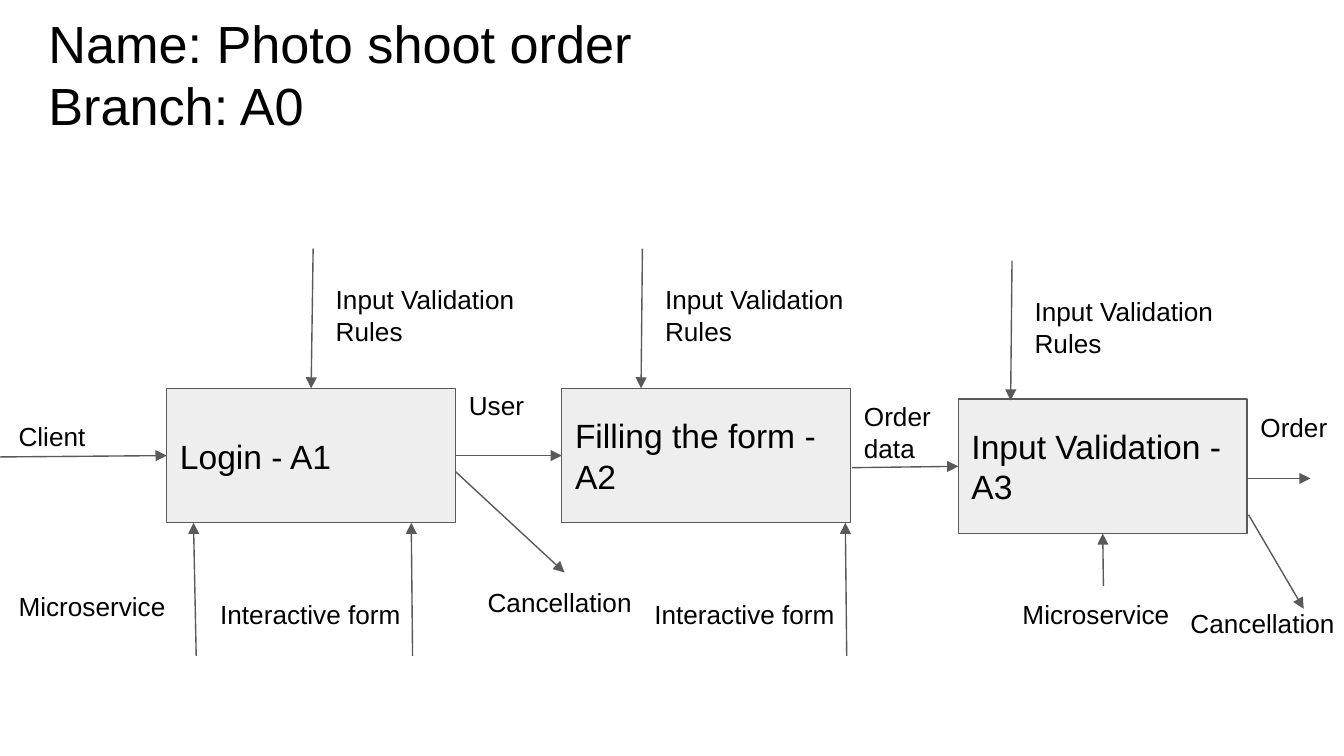
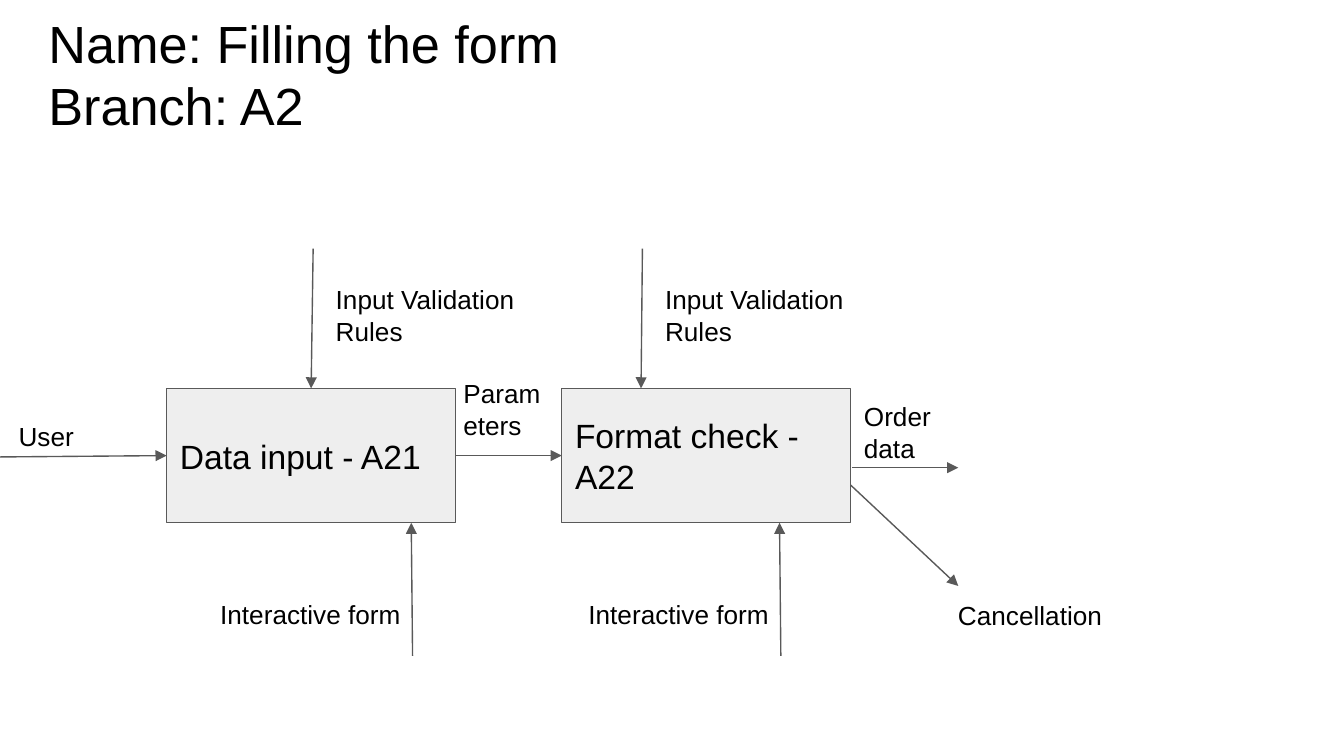
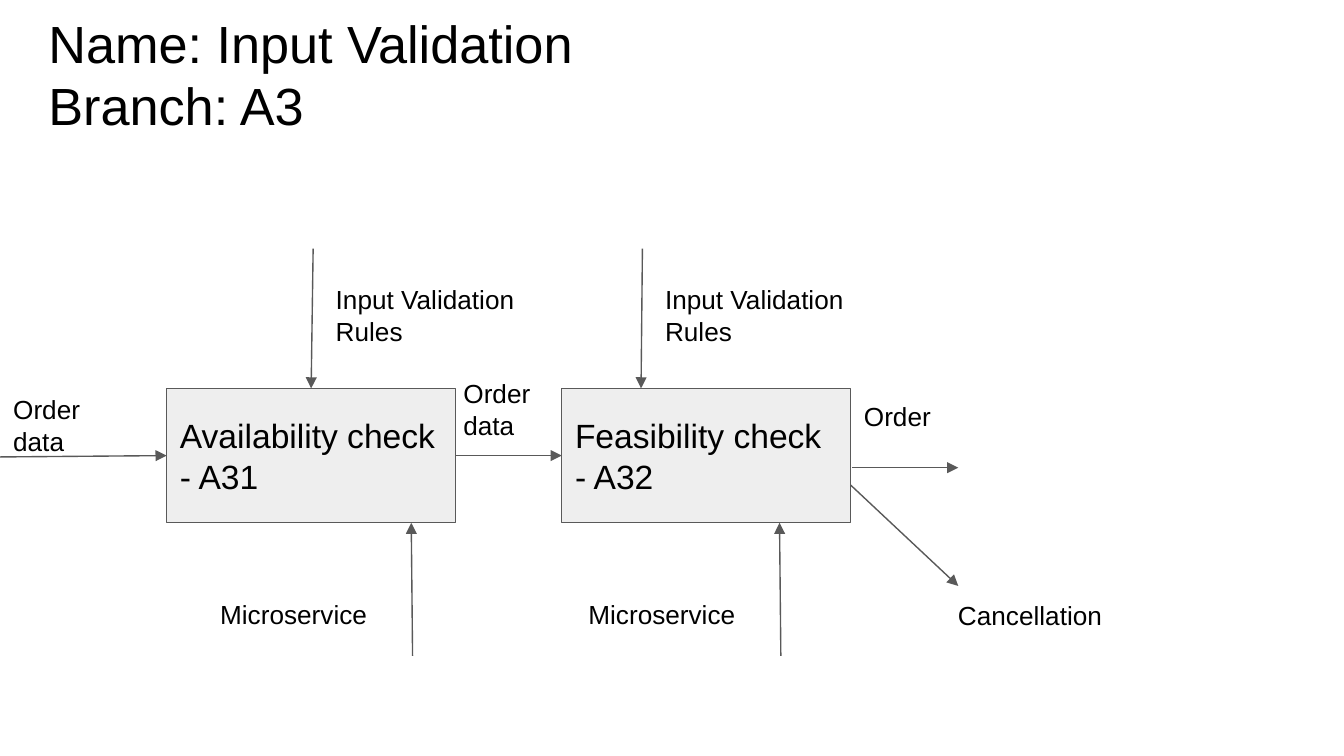
from dataclasses import dataclass
from typing import Optional

from lxml import etree
from pptx import Presentation
from pptx import util as u
from pptx.dml.color import RGBColor
from pptx.enum import shapes, text
from pptx.oxml.ns import qn

# Shared look
HUES = {"ink": "000000", "fill": "EEEEEE", "line": "595959"}
FONT = "Arial"
BOX_W, BOX_H = 2.15, 1.0
ROW = 2.89  # top of the first two boxes
FRAME = {
    "word_wrap": True,
    "auto_size": text.MSO_AUTO_SIZE.NONE,
    "margin_left": u.Inches(0.1),
    "margin_right": u.Inches(0.1),
    "margin_top": u.Inches(0.1),
    "margin_bottom": u.Inches(0.1),
}


@dataclass
class Box:
    name: str
    left: float
    top: float = ROW


@dataclass
class Note:
    words: str
    left: float
    top: float
    width: float = 0.87
    height: float = 0.18


@dataclass
class Arrow:
    x1: float
    y1: float
    x2: float
    y2: float


@dataclass
class Rule:
    """Control that enters a box from above."""
    tip: float
    top: float = ROW


@dataclass
class Means:
    """Mechanism that enters a box from below."""
    words: str
    tip: float


@dataclass
class Flow:
    title: str
    names: tuple[str, str]
    entry: Note
    link: Note
    out: str
    means: list[Means]
    extra: list


def hue(key: str) -> RGBColor:
    return RGBColor.from_string(HUES[key])


def write(frame, words: str, size: int, anchor=text.MSO_ANCHOR.TOP) -> None:
    for key, value in FRAME.items():
        setattr(frame, key, value)
    frame.vertical_anchor = anchor
    frame.text = words
    look = {"size": u.Pt(size), "name": FONT, "bold": False}
    for para in frame.paragraphs:
        para.alignment = text.PP_ALIGN.LEFT
        for run in para.runs:
            for key, value in look.items():
                setattr(run.font, key, value)
            run.font.color.rgb = hue("ink")


def add_box(slide, box: Box):
    spot = map(u.Inches, (box.left, box.top, BOX_W, BOX_H))
    shape = slide.shapes.add_shape(shapes.MSO_SHAPE.RECTANGLE, *spot)
    shape.shadow.inherit = False
    shape.fill.solid()
    shape.fill.fore_color.rgb = hue("fill")
    shape.line.color.rgb = hue("line")
    shape.line.width = u.Pt(0.75)
    write(shape.text_frame, box.name, 18, text.MSO_ANCHOR.MIDDLE)
    return shape


def add_note(slide, note: Note) -> None:
    spot = map(u.Inches, (note.left, note.top, note.width, note.height))
    write(slide.shapes.add_textbox(*spot).text_frame, note.words, 14)


def find_site(boxes: list, x: float, y: float) -> Optional[tuple]:
    """Return the box and side whose middle lies at the point."""
    for box, shape in boxes:
        mid_x, mid_y = box.left + BOX_W / 2, box.top + BOX_H / 2
        sides = ((mid_x, box.top), (box.left, mid_y),
                 (mid_x, box.top + BOX_H), (box.left + BOX_W, mid_y))
        for site, (side_x, side_y) in enumerate(sides):
            if max(abs(x - side_x), abs(y - side_y)) < 0.02:
                return shape, site
    return None


def add_arrow(slide, arrow: Arrow, boxes: list) -> None:
    ends = (arrow.x1, arrow.y1, arrow.x2, arrow.y2)
    line = slide.shapes.add_connector(
        shapes.MSO_CONNECTOR.STRAIGHT, *map(u.Inches, ends))
    for join, point in ((line.begin_connect, ends[:2]),
                        (line.end_connect, ends[2:])):
        site = find_site(boxes, *point)
        if site:
            join(*site)
    line.line.color.rgb = hue("line")
    line.line.width = u.Pt(0.75)
    props = line._element.spPr
    etree.SubElement(props.find(qn("a:ln")), qn("a:tailEnd"), type="triangle")
    etree.SubElement(props, qn("a:effectLst"))


def expand(part) -> list:
    """Turn a control or mechanism into its arrow and note."""
    if isinstance(part, Rule):
        x, y = part.tip, part.top
        return [Arrow(x + 0.01, y - 1.04, x, y),
                Note("Input Validation Rules", x + 0.08, y - 0.88, 1.9, 0.28)]
    if isinstance(part, Means):
        x, y = part.tip, ROW + BOX_H
        return [Arrow(x + 0.01, y + 0.99, x, y),
                Note(part.words, x - 1.52, y + 0.47, 1.56)]
    return [part]


def add_flow(deck, flow: Flow) -> None:
    slide = deck.slides.add_slide(deck.slide_layouts[5])
    title = slide.shapes.title
    spot = {"left": 0.26, "top": -0.02, "width": 9.32, "height": 0.99}
    for key, value in spot.items():
        setattr(title, key, u.Inches(value))
    write(title.text_frame, flow.title, 28)

    # Parts found on every slide
    first, second = flow.names
    parts = [
        Box(first, 1.24), Box(second, 4.18),
        Arrow(0, 3.4, 1.24, 3.39),
        Arrow(3.39, 3.39, 4.18, 3.39),
        Arrow(6.34, 3.48, 7.13, 3.48),
        Rule(2.32), Rule(4.77),
        flow.entry, flow.link, Note(flow.out, 6.33, 2.89),
        *flow.means, *flow.extra,
    ]
    boxes = [(p, add_box(slide, p)) for p in parts if isinstance(p, Box)]
    for part in parts:
        for item in expand(part):
            if isinstance(item, Arrow):
                add_arrow(slide, item, boxes)
            elif isinstance(item, Note):
                add_note(slide, item)


def cancel(left: float, top: float) -> Note:
    return Note("Cancellation", left, top, 1.33, 0.28)


# Cancellation exit of the second box
EXIT = [Arrow(6.33, 3.61, 7.13, 4.36), cancel(7.03, 4.36)]

FLOWS = [
    Flow(
        "Name: Photo shoot order\nBranch: A0",
        ("Login - A1", "Filling the form - A2"),
        Note("Client", 0.04, 3.03, 0.97, 0.28),
        Note("User", 3.39, 2.81),
        "Order data",
        [Means("Interactive form", 3.06), Means("Interactive form", 6.29)],
        [
            Box("Input Validation - A3", 7.13, 2.97),
            Rule(7.52, 2.98),
            Arrow(1.46, 4.88, 1.44, 3.89),
            Note("Microservice", 0.04, 4.3, 1.4),
            Arrow(3.39, 3.51, 4.2, 4.26), cancel(3.53, 4.26),
            Arrow(8.21, 4.36, 8.2, 3.98),
            Note("Microservice", 7.51, 4.36, 1.4),
            Arrow(9.28, 3.56, 9.75, 3.56), Note("Order", 9.28, 2.97),
            Arrow(9.29, 3.83, 9.7, 4.53), cancel(8.76, 4.42),
        ],
    ),
    Flow(
        "Name: Filling the form\nBranch: A2",
        ("Data input - A21", "Format check - A22"),
        Note("User", 0.04, 3.03, 0.97, 0.28),
        Note("Parameters", 3.35, 2.72),
        "Order data",
        [Means("Interactive form", 3.06), Means("Interactive form", 5.8)],
        EXIT,
    ),
    Flow(
        "Name: Input Validation\nBranch: A3",
        ("Availability check - A31", "Feasibility check - A32"),
        Note("Order data", 0, 2.83, 0.97, 0.28),
        Note("Order data", 3.35, 2.72),
        "Order",
        [Means("Microservice", 3.06), Means("Microservice", 5.8)],
        EXIT,
    ),
]


def main() -> None:
    deck = Presentation()
    deck.slide_width = u.Inches(10)
    deck.slide_height = u.Inches(10 * 9 / 16)
    for flow in FLOWS:
        add_flow(deck, flow)
    deck.save("out.pptx")


if __name__ == "__main__":
    main()
